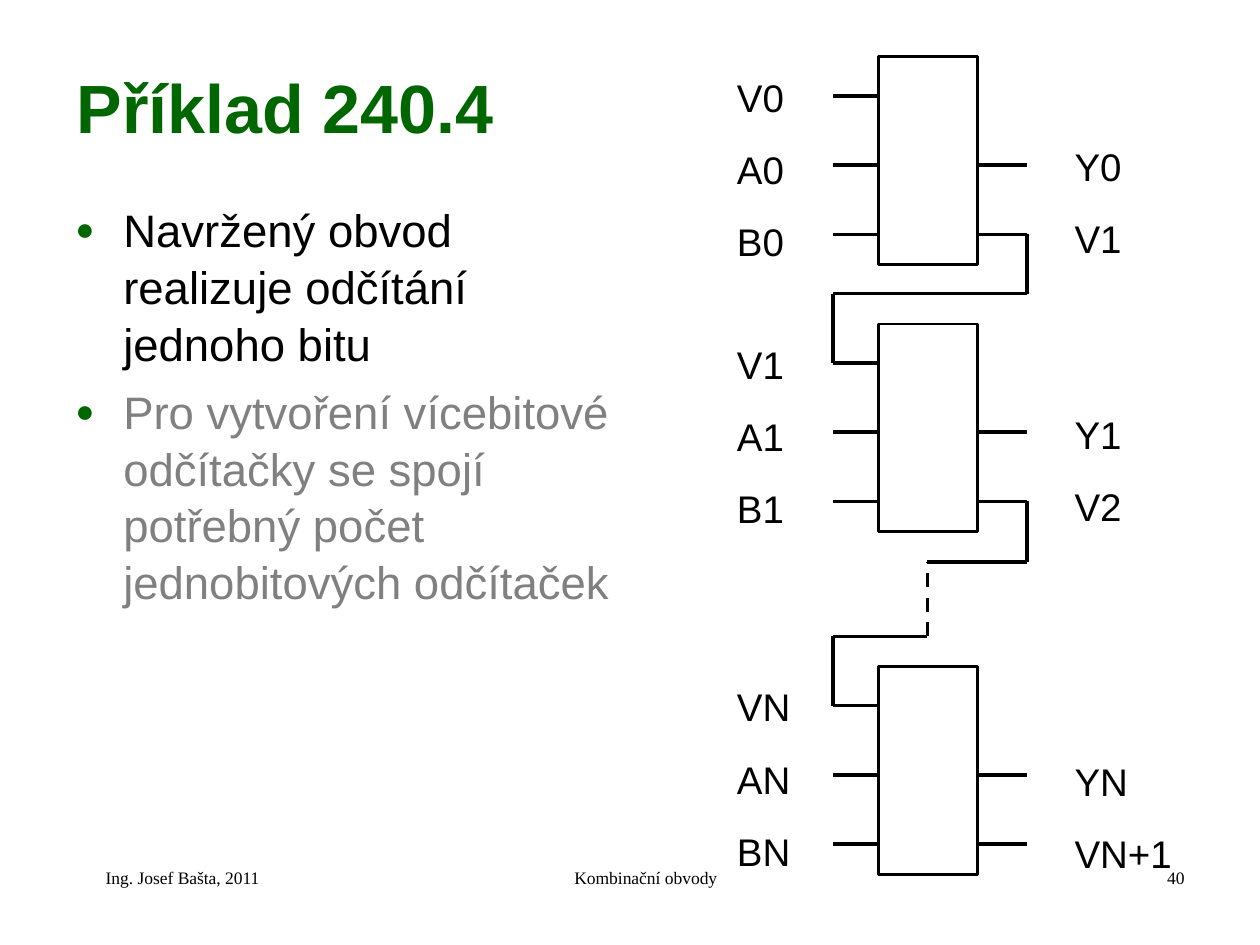
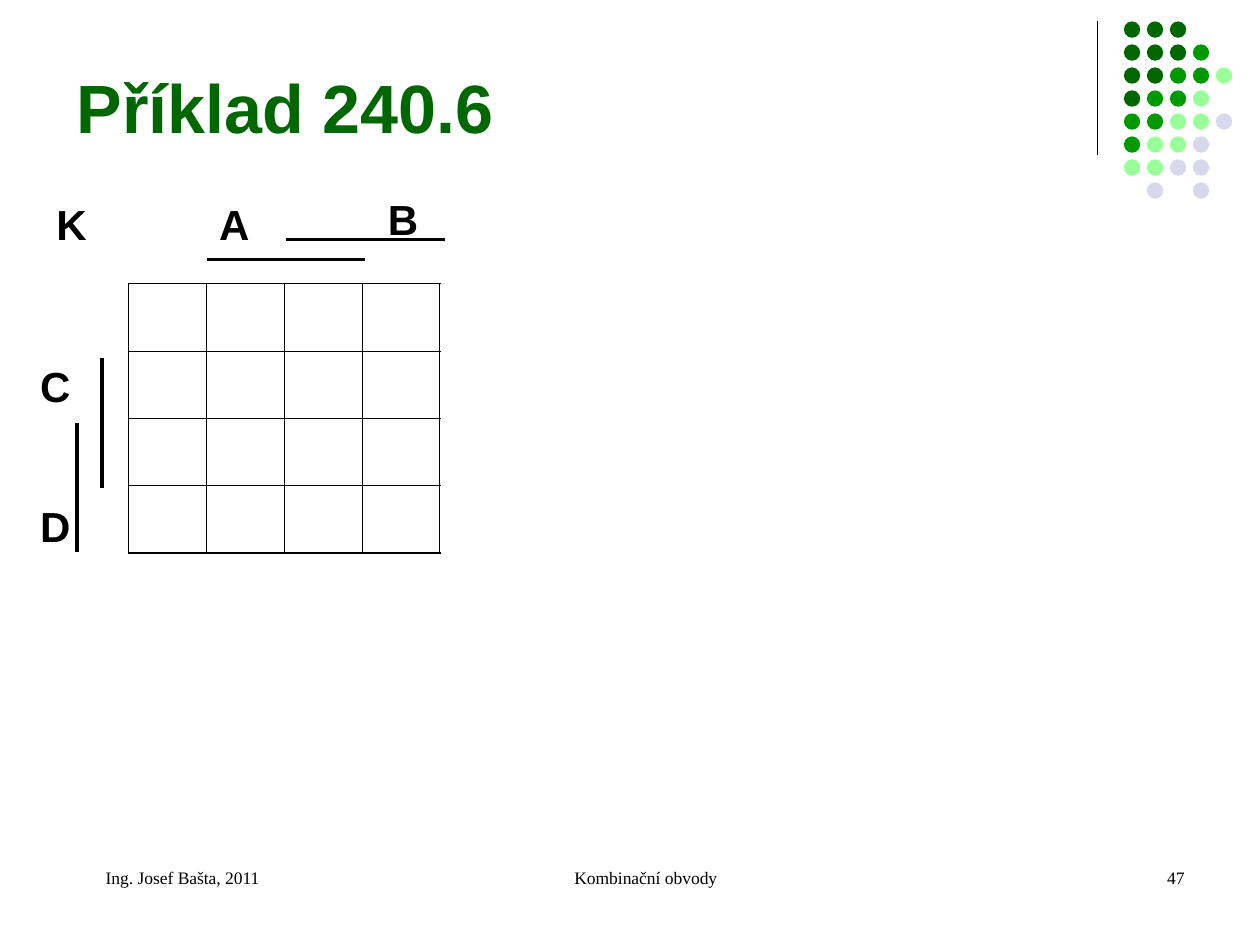
"""Build two slides on combinational circuits: a chained subtractor and an empty Karnaugh map."""
from lxml import etree
from pptx import Presentation
from pptx.dml.color import RGBColor
from pptx.enum.dml import MSO_LINE
from pptx.enum.shapes import MSO_CONNECTOR, MSO_SHAPE
from pptx.enum.text import MSO_ANCHOR, PP_ALIGN
from pptx.oxml.ns import qn
from pptx.util import Inches, Pt

STRAIGHT = MSO_CONNECTOR.STRAIGHT
RECTANGLE, OVAL = MSO_SHAPE.RECTANGLE, MSO_SHAPE.OVAL
LEFT, CENTER, RIGHT = PP_ALIGN.LEFT, PP_ALIGN.CENTER, PP_ALIGN.RIGHT
TOP, BOTTOM = MSO_ANCHOR.TOP, MSO_ANCHOR.BOTTOM
DASH = MSO_LINE.DASH

COLORS = {"black": "000000", "white": "FFFFFF", "gray": "808080", "dark": "006600",
          "green": "009900", "light": "99FF99", "lilac": "D8D8EC"}
RGB = {name: RGBColor.from_string(value) for name, value in COLORS.items()}


def add_text(page, at, lines, size, color="black", font="Arial", bold=False,
             align=LEFT, anchor=TOP, gap=0, indent=0, spacing=None):
    box = page.shapes.add_textbox(*[Inches(length) for length in at])
    frame = box.text_frame
    frame.word_wrap = True
    frame.vertical_anchor = anchor
    frame.text = "\n".join(lines)
    for index, para in enumerate(frame.paragraphs):
        para.alignment = align
        para.line_spacing = spacing
        if index:
            para.space_before = Pt(gap)
        if indent:
            para._p.get_or_add_pPr().set("marL", str(Inches(indent)))
        for span in para.runs:
            span.font.name = font
            span.font.size = Pt(size)
            span.font.bold = bold
            span.font.color.rgb = RGB[color]
    return box


def add_line(page, x1, y1, x2, y2, width=2):
    line = page.shapes.add_connector(STRAIGHT, Inches(x1), Inches(y1), Inches(x2), Inches(y2))
    line.line.color.rgb = RGB["black"]
    line.line.width = Pt(width)
    etree.SubElement(line._element.spPr, qn("a:effectLst"))
    return line


deck = Presentation()
deck.slide_width, deck.slide_height = Inches(10), Inches(7.5)
pages = []
for title, number in (("Příklad 240.4", "40"), ("Příklad 240.6", "47")):
    page = deck.slides.add_slide(deck.slide_layouts[6])
    pages.append(page)
    add_text(page, (0.51, 0.36, 8.25, 0.86), [title], 39, "dark", bold=True, anchor=BOTTOM)
    for left, width, text, align in ((0.5, 2.33, "Ing. Josef Bašta, 2011", LEFT),
                                     (3.42, 3.17, "Kombinační obvody", CENTER),
                                     (7.17, 2.33, number, RIGHT)):
        add_text(page, (left, 6.83, width, 0.5), [text], 10, font="Times New Roman",
                 align=align, indent=0.24)
subtractor_page, map_page = pages

body = add_text(subtractor_page, (0.5, 1.54, 4.58, 5.16),
                ["Navržený obvod realizuje odčítání jednoho bitu",
                 "Pro vytvoření vícebitové odčítačky se spojí potřebný počet jednobitových odčítaček"],
                26, gap=6.5, indent=0.38, spacing=1.04)
for para in body.text_frame.paragraphs:
    properties = para._p.get_or_add_pPr()
    properties.set("indent", str(-Inches(0.38)))
    bullet_color = etree.SubElement(properties, qn("a:buClr"))
    etree.SubElement(bullet_color, qn("a:srgbClr"), val=COLORS["dark"])
    etree.SubElement(properties, qn("a:buSzPct"), val="70000")
    etree.SubElement(properties, qn("a:buFont"), typeface="Arial")
    etree.SubElement(properties, qn("a:buChar"), char="●")
body.text_frame.paragraphs[1].runs[0].font.color.rgb = RGB["gray"]

WIRE_LEFT, WIRE_MIDDLE, WIRE_RIGHT = 6.61, 7.36, 8.15
stages = [(0.45, ["V0", "A0", "B0"], ["Y0", "V1"], 1.07),
          (2.57, ["V1", "A1", "B1"], ["Y1", "V2"], 3.2),
          (5.29, ["VN", "AN", "BN"], ["YN", "VN+1"], 5.95)]
for top, inputs, outputs, output_top in stages:
    add_text(subtractor_page, (5.75, top + 0.07, 0.79, 1.58), inputs, 22, gap=13.8, spacing=1.04)
    add_text(subtractor_page, (8.43, output_top, 1.22, 1.03), outputs, 22, gap=13.8, spacing=1.04)
    for row, wire_end in enumerate((7.44, WIRE_RIGHT, WIRE_RIGHT)):
        wire = top + 0.31 + 0.55 * row
        add_line(subtractor_page, WIRE_LEFT, wire, wire_end, wire)
    block = subtractor_page.shapes.add_shape(RECTANGLE, Inches(6.97), Inches(top),
                                             Inches(0.79), Inches(1.65))
    block.shadow.inherit = False
    block.fill.solid()
    block.fill.fore_color.rgb = RGB["white"]
    block.line.color.rgb = RGB["black"]
    block.line.width = Pt(1.5)

for x1, y1, x2, y2 in ((WIRE_RIGHT, 1.86, WIRE_RIGHT, 2.33), (WIRE_LEFT, 2.33, WIRE_RIGHT, 2.33),
                       (WIRE_LEFT, 2.33, WIRE_LEFT, 2.88), (WIRE_RIGHT, 3.98, WIRE_RIGHT, 4.46),
                       (WIRE_MIDDLE, 4.46, WIRE_RIGHT, 4.46), (WIRE_LEFT, 5.05, WIRE_MIDDLE, 5.05),
                       (WIRE_LEFT, 5.05, WIRE_LEFT, 5.6)):
    add_line(subtractor_page, x1, y1, x2, y2)
skipped_stages = add_line(subtractor_page, WIRE_MIDDLE, 5.05, WIRE_MIDDLE, 4.46)
skipped_stages.line.dash_style = DASH

add_line(map_page, 8.71, 0.17, 8.71, 1.23, 0.75)
DOT_COLORS = {"d": "dark", "g": "green", "l": "light", "p": "lilac"}
DOT_PITCH = 0.73 / 4
dot_rows = ["ddd", "dddg", "ddggl", "dggl", "ggllp", "gllp", "llpp", " p p"]
for row, codes in enumerate(dot_rows):
    for column, code in enumerate(codes):
        if code in DOT_COLORS:
            dot = map_page.shapes.add_shape(OVAL, Inches(8.92 + DOT_PITCH * column),
                                            Inches(0.17 + DOT_PITCH * row),
                                            Inches(0.13), Inches(0.13))
            dot.shadow.inherit = False
            dot.fill.solid()
            dot.fill.fore_color.rgb = RGB[DOT_COLORS[code]]
            dot.line.fill.background()

SIZE = 4
karnaugh = map_page.shapes.add_table(SIZE, SIZE, Inches(1.02), Inches(2.25),
                                     Inches(2.47), Inches(2.14)).table
karnaugh.first_row = karnaugh.horz_banding = False
for row in range(SIZE):
    for column in range(SIZE):
        cell = karnaugh.cell(row, column)
        properties = cell._tc.get_or_add_tcPr()
        outer_sides = {"lnL": column == 0, "lnR": column == SIZE - 1,
                       "lnT": row == 0, "lnB": row == SIZE - 1}
        for side, outer in outer_sides.items():
            border = etree.SubElement(properties, qn("a:" + side),
                                      w=str(Pt(1.08 if outer else 0.45)))
            fill = etree.SubElement(border, qn("a:solidFill"))
            etree.SubElement(fill, qn("a:srgbClr"), val=COLORS["black"])
        cell.fill.background()

for x1, y1, x2, y2 in ((1.64, 2.06, 2.9, 2.06), (2.27, 1.9, 3.53, 1.9),
                       (0.81, 2.84, 0.81, 3.87), (0.61, 3.36, 0.61, 4.38)):
    add_line(map_page, x1, y1, x2, y2)
for variable, left, top in (("K", 0.35, 1.51), ("A", 1.64, 1.51), ("B", 2.98, 1.47),
                            ("C", 0.22, 2.8), ("D", 0.22, 3.91)):
    add_text(map_page, (left, top, 0.47, 0.5), [variable], 24, bold=True, spacing=1.04)

deck.save("out.pptx")
